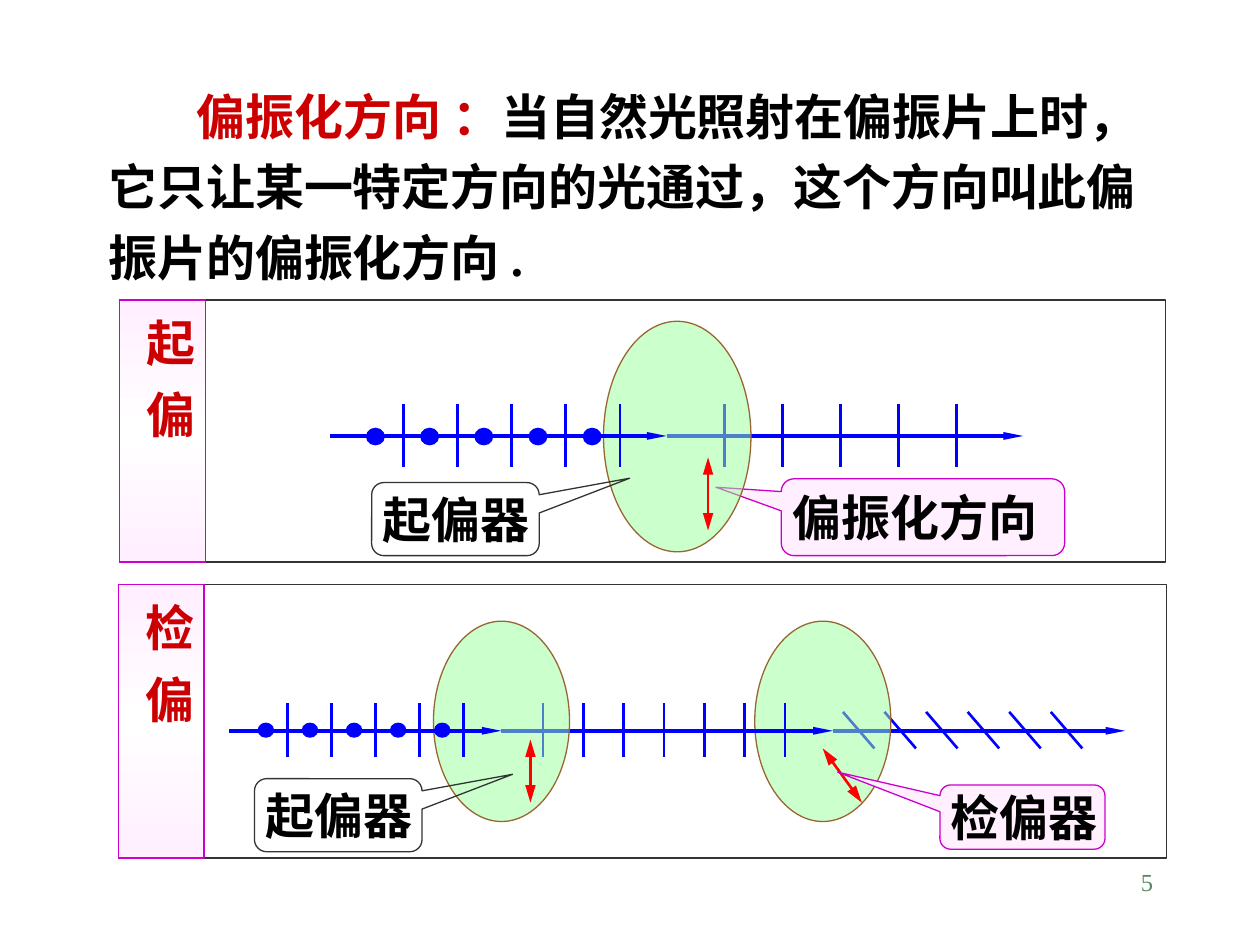
from lxml import etree
from pptx import Presentation
from pptx.dml.color import RGBColor
from pptx.enum import shapes, text
from pptx.oxml import parse_xml
from pptx.oxml.ns import nsdecls, qn
from pptx.util import Inches, Pt

COLORS = {
    "ink": "000000", "frame": "333333", "red": "CC0000", "axis": "FF0000",
    "ray": "0000FF", "lens": "99FF99", "lens_edge": "996633",
    "pink": "FFEFFF", "white": "FFFFFF", "magenta": "CC00CC", "page": "578963",
}
SHAPE = shapes.MSO_SHAPE


def rgb(name):
    return RGBColor.from_string(COLORS[name])


class OpticsSlide:
    font, size = "Times New Roman", 28

    def __init__(self, prs):
        self.slide = prs.slides.add_slide(prs.slide_layouts[5])

    def style(self, p, color="ink", size=None, bold=True):
        p.font.name, p.font.size, p.font.bold = self.font, Pt(size or self.size), bold
        p.font.color.rgb = rgb(color)

    def definition(self, box, term, body):
        title = self.slide.shapes.title
        title.left, title.top, title.width, title.height = map(Inches, box)
        tf = title.text_frame
        tf.word_wrap, tf.auto_size = True, text.MSO_AUTO_SIZE.NONE
        tf.vertical_anchor = text.MSO_ANCHOR.TOP
        p = tf.paragraphs[0]
        p.alignment, p.line_spacing, p.space_before = text.PP_ALIGN.LEFT, 1.2, Pt(0)
        p._p.get_or_add_pPr().set("indent", str(Inches(0.7)))
        self.style(p)
        r = p.add_run()
        r.text = term
        r.font.color.rgb = rgb("red")
        p.add_run().text = body

    def page_number(self, box, number):
        sp = self.slide.shapes.add_textbox(*map(Inches, box))
        sp.text_frame.word_wrap = True
        p = sp.text_frame.paragraphs[0]
        p.text, p.alignment = number, text.PP_ALIGN.RIGHT
        self.style(p, "page", 14, bold=False)

    def shape(self, kind, box, line, fill=None):
        sp = self.slide.shapes.add_shape(kind, *map(Inches, box))
        sp.shadow.inherit = False
        sp.line.color.rgb, sp.line.width = rgb(line), Pt(0.75)
        if fill:
            sp.fill.solid()
            sp.fill.fore_color.rgb = rgb(fill)
        else:
            sp.fill.background()
        return sp

    def panel(self, box):
        self.shape(SHAPE.RECTANGLE, box, "frame")

    def side_label(self, box, label):
        """Gradient strip with vertical text, its characters spaced apart."""
        sp = self.shape(SHAPE.RECTANGLE, box, "magenta", "pink")
        stops = "".join(
            f'<a:gs pos="{pos}"><a:srgbClr val="{COLORS[name]}"/></a:gs>'
            for pos, name in ((0, "pink"), (50000, "white"), (100000, "pink")))
        solid = sp._element.spPr.find(qn("a:solidFill"))
        solid.getparent().replace(solid, parse_xml(
            f'<a:gradFill {nsdecls("a")}><a:gsLst>{stops}</a:gsLst>'
            '<a:lin ang="5400000" scaled="1"/></a:gradFill>'))
        tf = sp.text_frame
        tf._txBody.bodyPr.set("vert", "eaVert")
        tf.vertical_anchor = text.MSO_ANCHOR.TOP
        tf.margin_top, tf.margin_right = Inches(0.15), Inches(0.05)
        tf.margin_left = tf.margin_bottom = 0
        p = tf.paragraphs[0]
        p.alignment = text.PP_ALIGN.LEFT
        r = p.add_run()
        r.text = label
        r._r.get_or_add_rPr().set("spc", "1300")
        self.style(p, "red")

    def line(self, start, end, color="ray", width=1.5):
        cx = self.slide.shapes.add_connector(
            shapes.MSO_CONNECTOR.STRAIGHT, *map(Inches, (*start, *end)))
        cx.line.color.rgb, cx.line.width = rgb(color), Pt(width)
        etree.SubElement(cx._element.spPr, qn("a:effectLst"))
        return cx

    def arrow(self, start, end, color, width, ends, head_width):
        ln = self.line(start, end, color, width).line._get_or_add_ln()
        for end_tag in ends:
            etree.SubElement(ln, qn(end_tag), type="triangle", w=head_width, len="lg")

    def ray(self, x1, x2, y):
        self.arrow((x1, y), (x2, y), "ray", 2.25, ["a:tailEnd"], "sm")

    def axis(self, start, end):
        self.arrow(start, end, "axis", 1.5, ["a:headEnd", "a:tailEnd"], "med")

    def ticks(self, x, step, count, top, bottom, slant=0):
        for i in range(count):
            left = x + i * step
            self.line((left, top), (left + slant, bottom))

    def dots(self, x, step, y, size, count=5):
        for i in range(count):
            self.shape(SHAPE.OVAL, (x + i * step, y, *size), "ray", "ray")

    def lens(self, box):
        sp = self.shape(SHAPE.OVAL, box, "lens_edge", "lens")
        color = sp._element.spPr.find(qn("a:solidFill"))[0]
        etree.SubElement(color, qn("a:alpha"), val="50000")

    def callout(self, box, label, tip, line="frame", fill=None):
        sp = self.shape(SHAPE.ROUNDED_RECTANGULAR_CALLOUT, box, line, fill)
        sp.adjustments[0], sp.adjustments[1] = tip
        tf = sp.text_frame
        tf.word_wrap, tf.vertical_anchor = True, text.MSO_ANCHOR.MIDDLE
        tf.margin_left = Inches(0.06)
        tf.margin_right = tf.margin_top = tf.margin_bottom = 0
        p = tf.paragraphs[0]
        p.text, p.alignment = label, text.PP_ALIGN.LEFT
        self.style(p)


def draw_polarizing(s):
    y, top, bottom = 3.46, 3.21, 3.71
    s.panel((0.95, 2.38, 8.3, 2.08))
    s.ray(5.29, 8.12, y)
    s.ticks(5.75, 0.46, 5, top, bottom)
    s.callout((6.2, 3.8, 2.25, 0.61), "偏振化方向", (-0.73, -0.39), "magenta", "pink")
    s.lens((4.79, 2.55, 1.17, 1.83))
    s.axis((5.62, 4.21), (5.62, 3.63))
    s.ray(2.62, 5.29, y)
    s.ticks(3.2, 0.43, 5, top, bottom)
    s.dots(2.91, 0.43, 3.4, (0.14, 0.13))
    s.callout((2.95, 3.83, 1.33, 0.58), "起偏器", (1.04, -0.56))
    s.side_label((0.95, 2.38, 0.68, 2.08), "起偏")


def draw_analyzing(s):
    y, top, bottom = 5.8, 5.58, 6.01
    s.panel((0.94, 4.64, 8.32, 2.17))
    s.ray(6.61, 8.93, y)
    s.ticks(6.69, 0.33, 6, 5.65, 5.94, slant=0.25)
    s.lens((5.99, 4.93, 1.08, 1.59))
    s.axis((6.84, 6.37), (6.53, 5.94))
    s.callout((7.46, 6.23, 1.31, 0.51), "检偏器", (-1.12, -0.7), "magenta", "pink")
    s.side_label((0.94, 4.64, 0.68, 2.17), "检偏")
    s.ray(3.98, 6.61, y)
    s.ticks(4.31, 0.32, 7, top, bottom)
    s.lens((3.44, 4.93, 1.08, 1.59))
    s.axis((4.21, 6.37), (4.21, 5.87))
    s.ray(1.82, 3.98, y)
    s.ticks(2.28, 0.35, 5, top, bottom)
    s.dots(2.05, 0.35, 5.74, (0.12, 0.11))
    s.callout((2.02, 6.18, 1.33, 0.58), "起偏器", (1.04, -0.56))


def main():
    prs = Presentation()
    prs.slide_width, prs.slide_height = Inches(10), Inches(7.5)
    s = OpticsSlide(prs)
    s.page_number((7.17, 6.83, 2.08, 0.5), "5")
    s.definition((0.76, 0.54, 8.54, 1.78), "偏振化方向 ：",
                 "当自然光照射在偏振片上时，它只让某一特定方向的光通过，"
                 "这个方向叫此偏振片的偏振化方向 .")
    draw_analyzing(s)
    draw_polarizing(s)
    prs.save("out.pptx")


if __name__ == "__main__":
    main()
